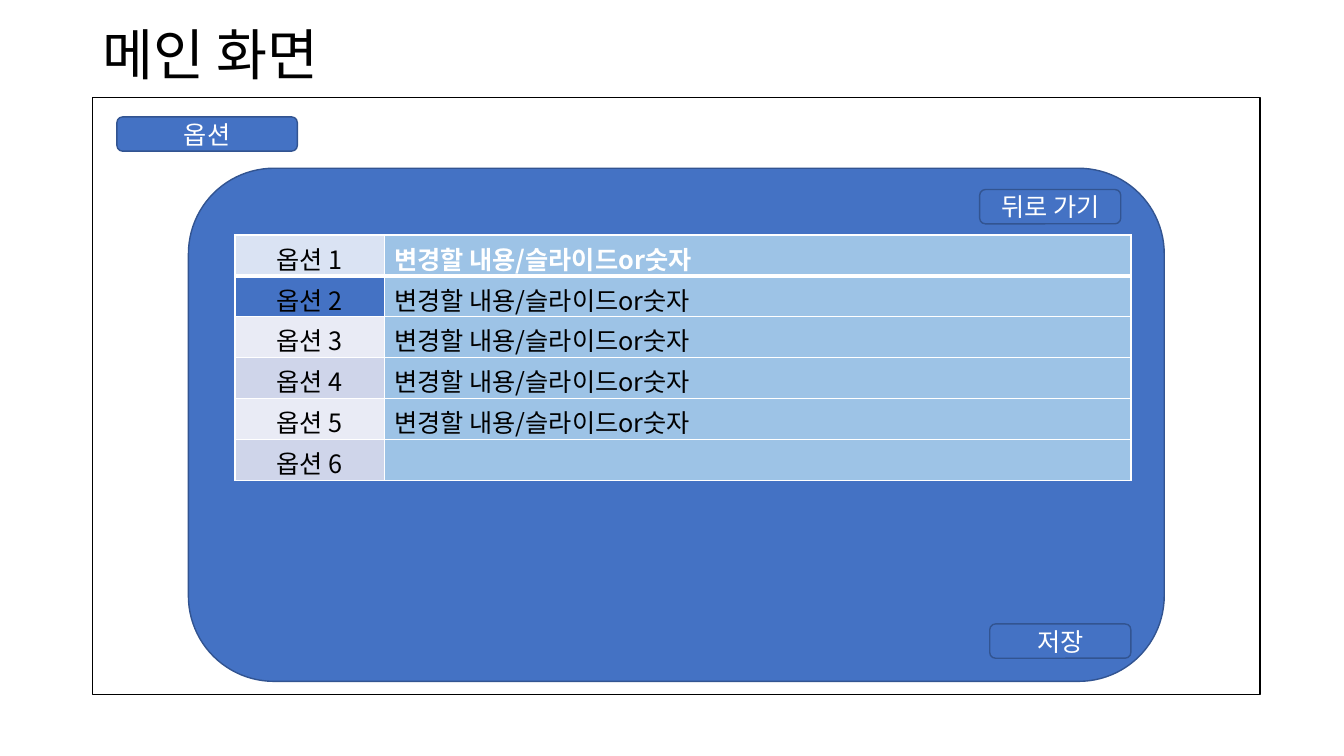
"""Build the main screen mock-up slide with its options panel."""
from dataclasses import dataclass

from lxml import etree
from pptx import Presentation
from pptx.dml.color import RGBColor
from pptx.enum.shapes import MSO_SHAPE
from pptx.enum.text import MSO_ANCHOR, PP_ALIGN
from pptx.oxml.ns import qn
from pptx.shapes.autoshape import Shape
from pptx.slide import Slide
from pptx.table import _Cell
from pptx.text.text import TextFrame
from pptx.util import Pt

RECTANGLE = MSO_SHAPE.RECTANGLE
ROUNDED = MSO_SHAPE.ROUNDED_RECTANGLE
MIDDLE = MSO_ANCHOR.MIDDLE
LEFT = PP_ALIGN.LEFT
CENTER = PP_ALIGN.CENTER

BLACK = RGBColor(0x00, 0x00, 0x00)
WHITE = RGBColor(0xFF, 0xFF, 0xFF)
BLUE = RGBColor(0x44, 0x72, 0xC4)
DARK_BLUE = RGBColor(0x32, 0x54, 0x91)
SKY = RGBColor(0x9D, 0xC3, 0xE6)
PALE_BLUE = RGBColor(0xDA, 0xE3, 0xF3)
LIGHT_BAND = RGBColor(0xE9, 0xEB, 0xF5)
DARK_BAND = RGBColor(0xCF, 0xD5, 0xEA)

FONT = "Noto Sans CJK KR"
SETTING = "변경할 내용/슬라이드or숫자"
ROW_HEIGHT = 29.2
COLUMN_WIDTHS = (106.6, 533.5)


@dataclass(frozen=True)
class Box:
    left: float
    top: float
    width: float
    height: float
    kind: MSO_SHAPE = ROUNDED
    fill: RGBColor | None = BLUE
    line: RGBColor = DARK_BLUE
    label: str = ""


@dataclass(frozen=True)
class Option:
    name: str
    fill: RGBColor
    setting: str = SETTING


BACKDROP = (
    Box(66.2, 69.8, 833.8, 426.2, kind=RECTANGLE, fill=None, line=BLACK),
    Box(83.5, 83.5, 128.9, 24.5, label="옵션"),
    Box(134.6, 120.2, 697, 366.5),
)
PANEL_BUTTONS = (
    Box(699.8, 135.4, 100.8, 24.5, label="뒤로 가기"),
    Box(707, 445.7, 100.8, 24.5, label="저장"),
)
OPTIONS = (
    Option("옵션 1", PALE_BLUE),
    Option("옵션 2", BLUE),
    Option("옵션 3", LIGHT_BAND),
    Option("옵션 4", DARK_BAND),
    Option("옵션 5", LIGHT_BAND),
    Option("옵션 6", DARK_BAND, setting=""),
)


def write_text(frame: TextFrame, text: str, *, size: float = 18, color: RGBColor = BLACK,
               bold: bool = False, align: PP_ALIGN = LEFT, spacing: float = 1.0) -> None:
    """Write one formatted paragraph into a text frame."""
    paragraph = frame.paragraphs[0]
    paragraph.alignment = align
    paragraph.line_spacing = spacing
    run = paragraph.add_run()
    run.text = text
    run.font.size = Pt(size)
    run.font.bold = bold
    run.font.color.rgb = color
    run.font.name = FONT
    east_asian = etree.SubElement(run.font._element, qn("a:ea"))
    east_asian.set("typeface", FONT)


def draw_title(slide: Slide) -> None:
    """Draw the slide title."""
    title = slide.shapes.add_textbox(Pt(66.2), Pt(28.8), Pt(658.1), Pt(25.2))
    title.text_frame.word_wrap = True
    title.text_frame.vertical_anchor = MIDDLE
    write_text(title.text_frame, "메인 화면", size=39.6, spacing=0.9)


def draw_box(slide: Slide, box: Box) -> Shape:
    """Draw a frame, panel or button."""
    shape = slide.shapes.add_shape(
        box.kind, Pt(box.left), Pt(box.top), Pt(box.width), Pt(box.height))
    shape.shadow.inherit = False
    if box.fill is None:
        shape.fill.background()
    else:
        shape.fill.solid()
        shape.fill.fore_color.rgb = box.fill
    shape.line.color.rgb = box.line
    shape.line.width = Pt(1)
    if box.label:
        shape.text_frame.word_wrap = True
        shape.text_frame.vertical_anchor = MIDDLE
        write_text(shape.text_frame, box.label, color=WHITE, align=CENTER)
    return shape


def style_cell(cell: _Cell, fill: RGBColor, top: float, bottom: float) -> None:
    """Fill a cell and give it white borders."""
    cell.fill.solid()
    cell.fill.fore_color.rgb = fill
    properties = cell._tc.get_or_add_tcPr()
    widths = {"a:lnL": 1, "a:lnR": 1, "a:lnT": top, "a:lnB": bottom}
    for position, (side, width) in enumerate(widths.items()):
        border = etree.Element(qn(side), w=str(Pt(width)))
        paint = etree.SubElement(border, qn("a:solidFill"))
        etree.SubElement(paint, qn("a:srgbClr"), val=str(WHITE))
        properties.insert(position, border)


def draw_options(slide: Slide) -> None:
    """Draw the table of options and their settings."""
    table = slide.shapes.add_table(
        len(OPTIONS), len(COLUMN_WIDTHS), Pt(167.8), Pt(167.8),
        Pt(sum(COLUMN_WIDTHS)), Pt(ROW_HEIGHT * len(OPTIONS))).table
    for column, width in zip(table.columns, COLUMN_WIDTHS):
        column.width = Pt(width)
    for index, option in enumerate(OPTIONS):
        table.rows[index].height = Pt(ROW_HEIGHT)
        first = index == 0
        top, bottom = (3 if index == 1 else 1), (3 if first else 1)
        name_cell, setting_cell = table.cell(index, 0), table.cell(index, 1)
        style_cell(name_cell, option.fill, top, bottom)
        style_cell(setting_cell, SKY, top, bottom)
        write_text(name_cell.text_frame, option.name, align=CENTER)
        if option.setting:
            write_text(setting_cell.text_frame, option.setting,
                       color=WHITE if first else BLACK, bold=first)


def main() -> None:
    """Build and save the slide."""
    deck = Presentation()
    deck.slide_width, deck.slide_height = Pt(960), Pt(540)
    slide = deck.slides.add_slide(deck.slide_layouts[6])
    draw_title(slide)
    for box in BACKDROP:
        draw_box(slide, box)
    draw_options(slide)
    for button in PANEL_BUTTONS:
        draw_box(slide, button)
    deck.save("out.pptx")


if __name__ == "__main__":
    main()
